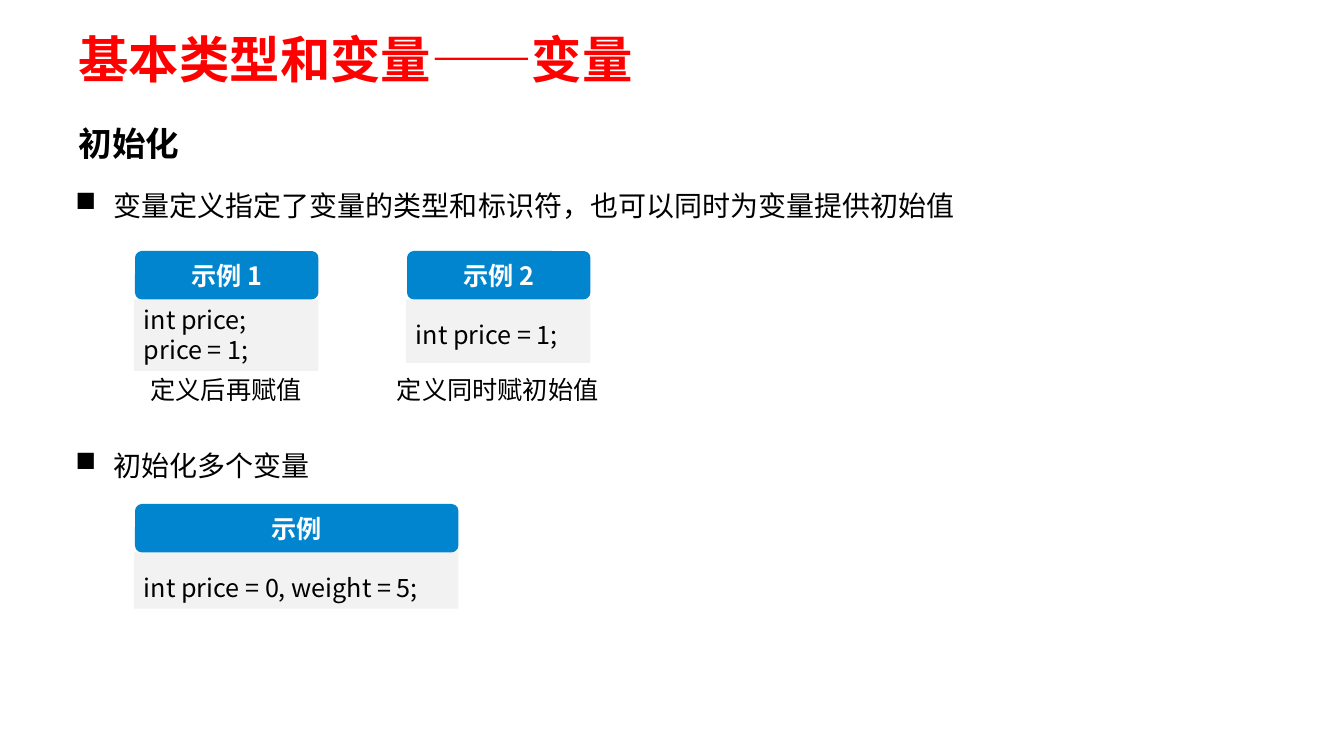
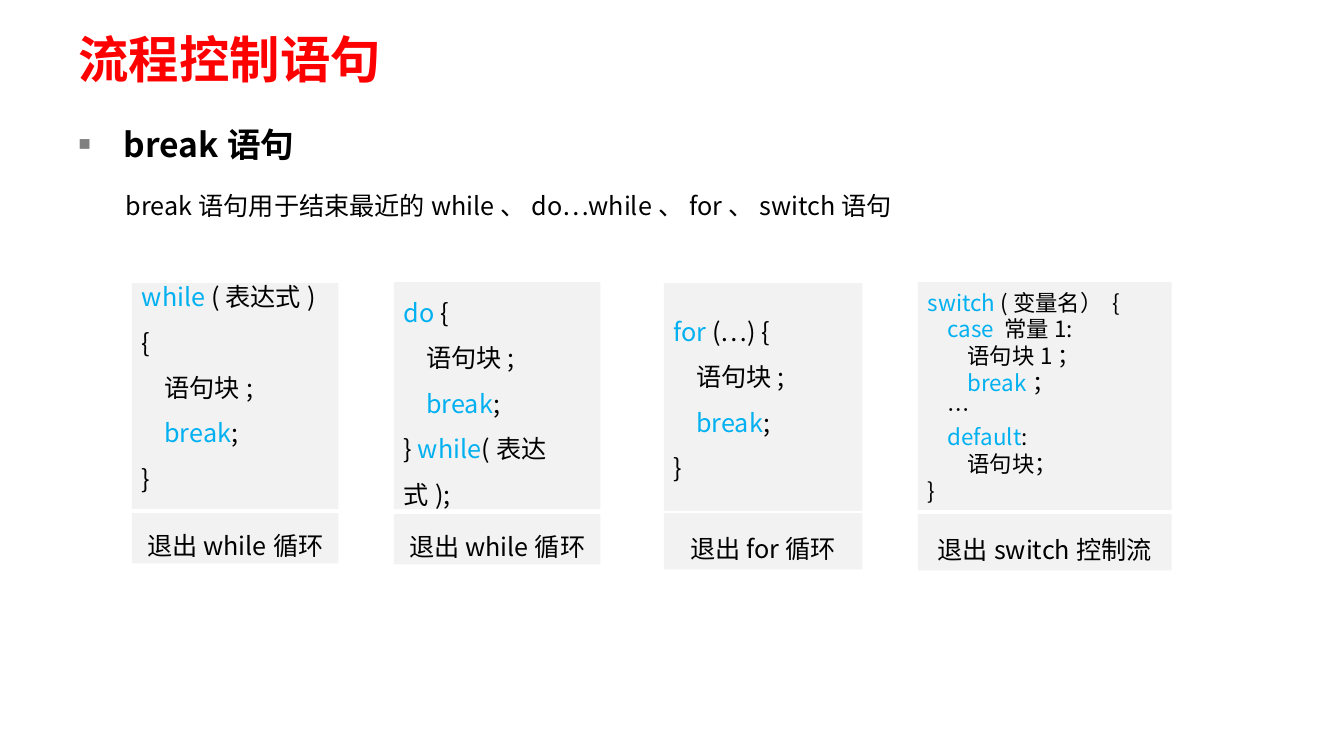
from lxml import etree
from pptx import Presentation
from pptx.dml.color import RGBColor
from pptx.enum.shapes import MSO_SHAPE
from pptx.enum.text import MSO_ANCHOR, MSO_AUTO_SIZE, PP_ALIGN
from pptx.oxml.ns import qn
from pptx.util import Pt

PX = 9144  # 100 px to the inch
FONT = "Noto Sans CJK SC"
RED = RGBColor(0xFF, 0x00, 0x00)
BLACK = RGBColor(0x00, 0x00, 0x00)
WHITE = RGBColor(0xFF, 0xFF, 0xFF)
GREY = RGBColor(0x80, 0x80, 0x80)
PANEL = RGBColor(0xF2, 0xF2, 0xF2)
BLUE = RGBColor(0x01, 0x85, 0xCF)
KEYWORD = RGBColor(0x00, 0xB0, 0xF0)
RECT, ROUND = MSO_SHAPE.RECTANGLE, MSO_SHAPE.ROUNDED_RECTANGLE
LEFT, CENTER = PP_ALIGN.LEFT, PP_ALIGN.CENTER
TOP, MIDDLE = MSO_ANCHOR.TOP, MSO_ANCHOR.MIDDLE


def write(tf, lines, size=18, color=BLACK, bold=False, align=LEFT,
          spacing=1.0, anchor=TOP, indent=0, bullet=BLACK, bullet_pct=100):
    """Fill a text frame; words between backticks take the keyword colour."""
    tf.auto_size = MSO_AUTO_SIZE.NONE
    tf.vertical_anchor = anchor
    for i, line in enumerate(lines):
        p = tf.paragraphs[0] if i == 0 else tf.add_paragraph()
        p.alignment = align
        p.line_spacing = spacing
        p.space_before = Pt(0)
        pPr = p._p.get_or_add_pPr()
        pPr.set("marL", str(indent * PX))
        pPr.set("indent", str(-indent * PX))
        if indent:
            clr = etree.SubElement(pPr, qn("a:buClr"))
            etree.SubElement(clr, qn("a:srgbClr"), val=str(bullet))
            etree.SubElement(pPr, qn("a:buSzPct"), val=str(bullet_pct * 1000))
            etree.SubElement(pPr, qn("a:buChar"), char="■")
        else:
            etree.SubElement(pPr, qn("a:buNone"))
        for n, part in enumerate(line.split("`")):
            if not part:
                continue
            r = p.add_run()
            r.text = part
            r.font.size = Pt(size)
            r.font.bold = bold
            r.font.color.rgb = KEYWORD if n % 2 else color
            r.font.name = FONT
            latin = r._r.rPr.find(qn("a:latin"))
            latin.addnext(etree.Element(qn("a:ea"), typeface=FONT))


def add_box(s, x, y, w, h, lines, fill=None, shape=RECT, wrap=True, lift=0, **style):
    """Add a text box, or a filled shape; lift is extra room below the text."""
    frame = [v * PX for v in (x, y, w, h)]
    if fill is None:
        sp = s.shapes.add_textbox(*frame)
    else:
        sp = s.shapes.add_shape(shape, *frame)
        sp.shadow.inherit = False
        sp.fill.solid()
        sp.fill.fore_color.rgb = fill
        sp.line.fill.background()
        if shape == ROUND:
            sp.adjustments[0] = 0.14
    tf = sp.text_frame
    tf.word_wrap = wrap
    tf.margin_bottom = (5 + lift) * PX
    write(tf, lines, **style)


prs = Presentation()
prs.slide_width, prs.slide_height = 1334 * PX, 750 * PX

# Title and heading places shared by the slides
layout = prs.slide_layouts[1]
for ph, top, height in zip(layout.placeholders, (28, 99), (59, 71)):
    ph.left, ph.top, ph.width, ph.height = 65 * PX, top * PX, 1213 * PX, height * PX
    tf = ph.text_frame
    tf.margin_left = tf.margin_right = 13 * PX
    tf.margin_top = tf.margin_bottom = 7 * PX

slides = []
for title, heading, style in [
    ("基本类型和变量——变量", "初始化", {}),
    ("流程控制语句", "break语句",
     dict(anchor=MIDDLE, indent=45, bullet=GREY, bullet_pct=60)),
]:
    s = prs.slides.add_slide(layout)
    write(s.shapes.title.text_frame, [title], size=36, color=RED, bold=True, anchor=MIDDLE)
    write(s.placeholders[1].text_frame, [heading], size=24, bold=True, spacing=1.4, **style)
    slides.append(s)

# Slide 1: initialisation examples
s = slides[0]
for y, w, text in [
    (182, 900, "变量定义指定了变量的类型和标识符，也可以同时为变量提供初始值"),
    (440, 254, "初始化多个变量"),
]:
    add_box(s, 65, y, w, 44, [text], size=20, indent=38, wrap=False)

HEADER_H = 48
for x, y, w, h, label, code, spacing in [
    (133, 249, 183, 71, "示例1", ["int price;", "price = 1;"], 1.0),
    (403, 249, 183, 63, "示例2", ["int price = 1;"], 1.5),
    (133, 500, 322, 56, "示例", ["int price = 0, weight = 5;"], 1.5),
]:
    add_box(s, x, y + HEADER_H, w, h, code, fill=PANEL, spacing=spacing)
    add_box(s, x + 1, y, w - 1, HEADER_H, [label], fill=BLUE, shape=ROUND,
            color=WHITE, bold=True, align=CENTER, anchor=MIDDLE)

for x, w, text in [(133, 183, "定义后再赋值"), (383, 222, "定义同时赋初始值")]:
    add_box(s, x, 366, w, 40, [text], align=CENTER, wrap=False)

# Slide 2: what break leaves
s = slides[1]
add_box(s, 115, 169, 1134, 56,
        ["break语句用于结束最近的while、do…while、for、switch语句"], spacing=1.5)

loop_style = dict(size=18, spacing=1.5)
for x, y, w, h, lift, code, style, caption_y, caption_h, caption in [
    (131, 281, 205, 224, 32,
     ["`while` (表达式) {", "    语句块;", "    `break`;", "}"],
     loop_style, 509, 50, "退出while循环"),
    (391, 280, 205, 225, 0,
     ["`do` {", "    语句块;", "    `break`;", "}` while`(表达式);"],
     loop_style, 510, 50, "退出while循环"),
    (659, 281, 197, 226, 10,
     ["`for` (…) {", "    语句块;", "    `break`;", "}"],
     loop_style, 509, 56, "退出for循环"),
    (911, 280, 252, 226, 0,
     ["`switch` (变量名） {", "    `case `常量1:", "        语句块1；",
      "        `break`；", "    …", "    `default`:", "        语句块；", "}"],
     dict(size=16), 510, 56, "退出switch控制流"),
]:
    add_box(s, x, y, w, h, code, fill=PANEL, lift=lift, anchor=MIDDLE, **style)
    add_box(s, x, caption_y, w, caption_h, [caption], fill=PANEL,
            align=CENTER, anchor=MIDDLE, spacing=1.5)

prs.save("out.pptx")
